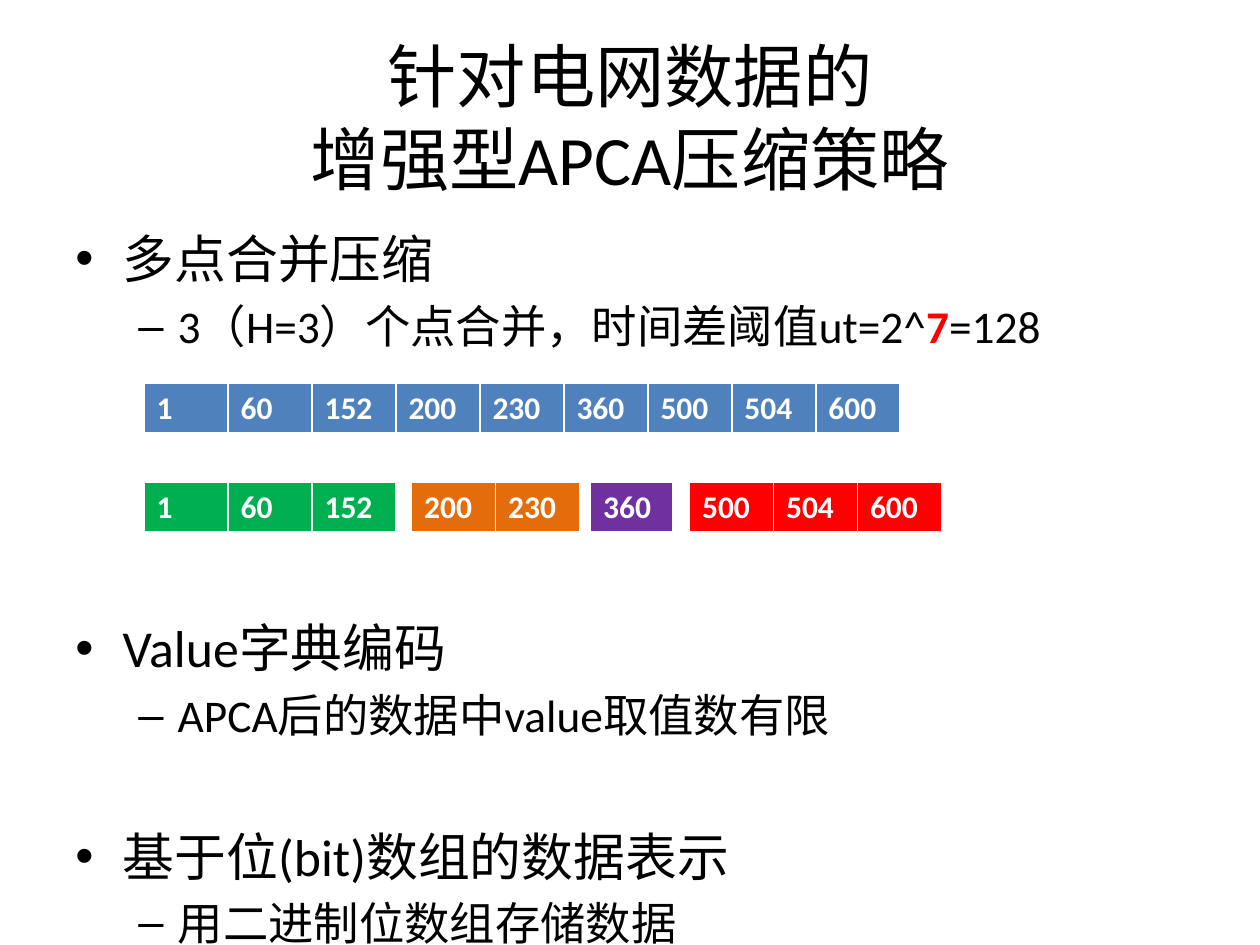
from pptx import Presentation
from pptx.dml.color import RGBColor
from pptx.enum.text import MSO_ANCHOR, MSO_AUTO_SIZE, PP_ALIGN
from pptx.oxml import parse_xml
from pptx.oxml.ns import nsdecls
from pptx.util import Pt

BLACK, WHITE, RED = "000000", "FFFFFF", "FF0000"
LEVELS = {0: ("•", 29.6, 27, -27), 1: ("–", 25.9, 58.5, -22.5)}
POINTS = [
    (0, 6, ["多点合并压缩"]),
    (1, 5.5, ["3（H=3）个点合并，时间差阈值ut=2^", "7", "=128"]),
    (0, 150.5, ["Value字典编码"]),
    (1, 5, ["APCA后的数据中value取值数有限"]),
    (0, 47.5, ["基于位(bit)数组的数据表示"]),
    (1, 4.5, ["用二进制位数组存储数据"]),
]
TIMES = ["1", "60", "152", "200", "230", "360", "500", "504", "600"]
GROUPS = [
    (82.3, 219, 48, "4F81BD", TIMES),
    (82.3, 275.5, 48, "00B050", TIMES[:3]),
    (235.2, 275.5, 48, "E46C0A", TIMES[3:5]),
    (337.5, 275.5, 47.2, "7030A0", TIMES[5:6]),
    (394, 275.5, 48, RED, TIMES[6:]),
]


def color(code):
    """Turn a hex string into a colour."""
    return RGBColor.from_string(code)


def style(run, size, code=BLACK, bold=False):
    """Format one run."""
    font = run.font
    font.name, font.size, font.bold = "Calibri", Pt(size), bold
    font.color.rgb = color(code)


def add_title(slide, text):
    """Place and format the title."""
    title = slide.shapes.title
    title.left, title.top = Pt(36), Pt(21.5)
    title.width, title.height = Pt(648), Pt(90)
    frame = title.text_frame
    frame.text = text
    frame.auto_size = MSO_AUTO_SIZE.NONE
    frame.vertical_anchor = MSO_ANCHOR.MIDDLE
    para = frame.paragraphs[0]
    para.alignment = PP_ALIGN.CENTER
    para.line_spacing = 1.0
    for run in para.runs:
        style(run, 39.6)


def add_point(para, level, gap, parts):
    """Fill one bulleted paragraph, with its second part in bold red."""
    mark, size, left, indent = LEVELS[level]
    para.level = level
    para.space_before = Pt(gap)
    props = para._p.get_or_add_pPr()
    props.set("marL", str(Pt(left)))
    props.set("indent", str(Pt(indent)))
    props.append(parse_xml(f'<a:buFont {nsdecls("a")} typeface="Arial"/>'))
    props.append(parse_xml(f'<a:buChar {nsdecls("a")} char="{mark}"/>'))
    for i, part in enumerate(parts):
        run = para.add_run()
        run.text = part
        style(run, size, RED if i == 1 else BLACK, i == 1)


def add_body(slide):
    """Add the bulleted text."""
    box = slide.shapes.add_textbox(Pt(36), Pt(126), Pt(648), Pt(388))
    frame = box.text_frame
    frame.word_wrap = True
    for i, point in enumerate(POINTS):
        para = frame.add_paragraph() if i else frame.paragraphs[0]
        add_point(para, *point)


def add_border(cell):
    """Draw white lines around a cell."""
    props = cell._tc.get_or_add_tcPr()
    for i, (side, width) in enumerate(zip("LRTB", (1, 1, 1, 3))):
        props.insert(i, parse_xml(
            f'<a:ln{side} {nsdecls("a")} w="{Pt(width)}"><a:solidFill>'
            f'<a:srgbClr val="{WHITE}"/></a:solidFill></a:ln{side}>'))


def add_group(slide, left, top, width, code, times):
    """Add one row of time stamps as a table."""
    count = len(times)
    table = slide.shapes.add_table(
        1, count, Pt(left), Pt(top), Pt(width * count), Pt(29.2)).table
    for col, text in enumerate(times):
        table.columns[col].width = Pt(width)
        cell = table.cell(0, col)
        cell.text = text
        cell.fill.solid()
        cell.fill.fore_color.rgb = color(code)
        add_border(cell)
        style(cell.text_frame.paragraphs[0].runs[0], 18, WHITE, True)


def main():
    """Build the slide and save it."""
    deck = Presentation()
    deck.slide_width, deck.slide_height = Pt(720), Pt(540)
    slide = deck.slides.add_slide(deck.slide_layouts[5])
    add_title(slide, "针对电网数据的\v增强型APCA压缩策略")
    add_body(slide)
    for group in GROUPS:
        add_group(slide, *group)
    deck.save("out.pptx")


main()
